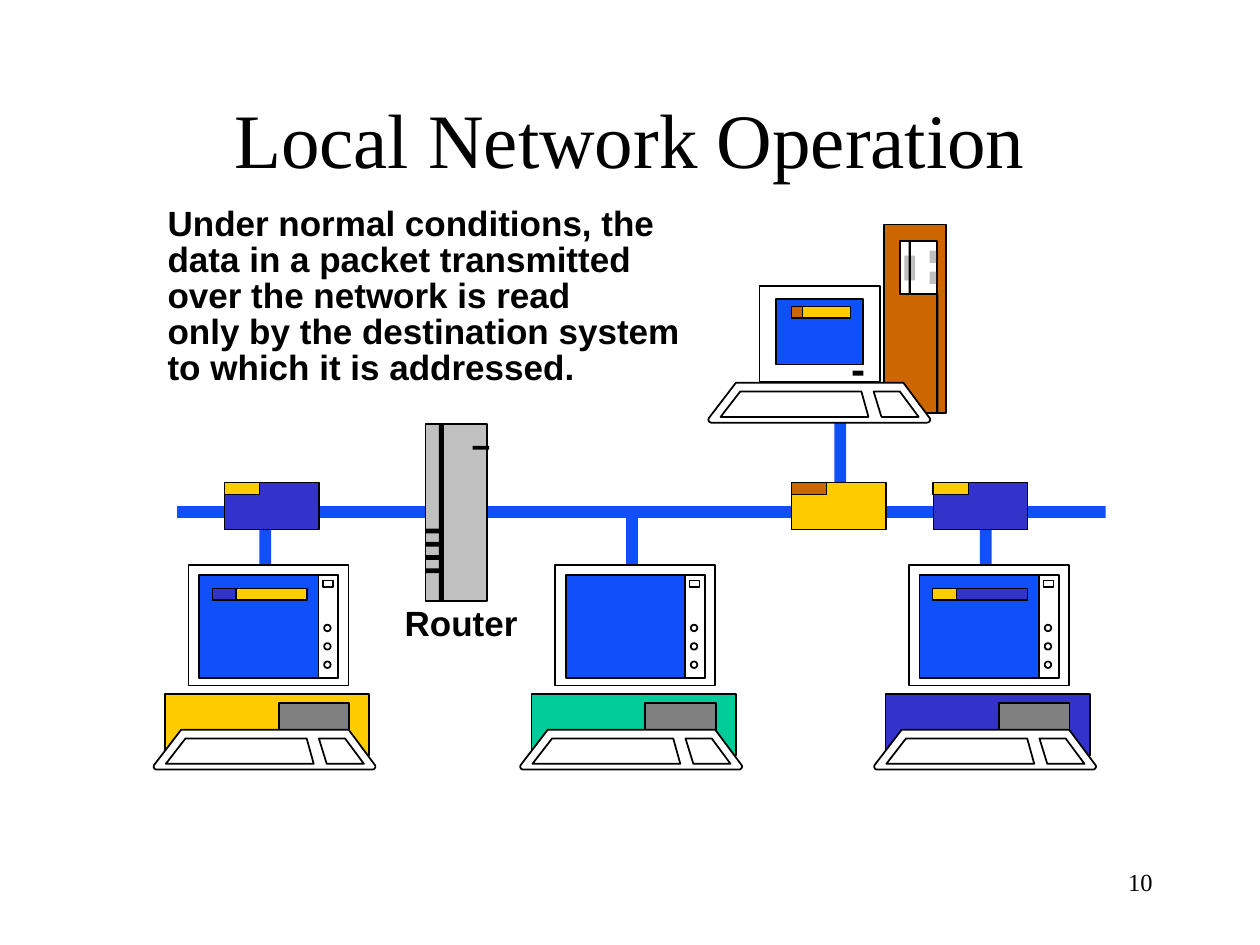
"""Build the Local Network Operation slide with its computers, router and packets."""
from typing import NamedTuple, Optional

from pptx import Presentation
from pptx.dml.color import RGBColor
from pptx.enum.shapes import MSO_SHAPE
from pptx.enum.text import PP_ALIGN
from pptx.util import Pt

RECTANGLE, OVAL = MSO_SHAPE.RECTANGLE, MSO_SHAPE.OVAL
LEFT, CENTER, RIGHT = PP_ALIGN.LEFT, PP_ALIGN.CENTER, PP_ALIGN.RIGHT
BLACK = RGBColor(0x00, 0x00, 0x00)
WHITE = RGBColor(0xFF, 0xFF, 0xFF)
BLUE = RGBColor(0x11, 0x4F, 0xFB)
INDIGO = RGBColor(0x33, 0x33, 0xCC)
YELLOW = RGBColor(0xFF, 0xCC, 0x00)
GREEN = RGBColor(0x00, 0xCC, 0x99)
ORANGE = RGBColor(0xCC, 0x66, 0x00)
SILVER = RGBColor(0xC0, 0xC0, 0xC0)
GRAY = RGBColor(0x80, 0x80, 0x80)
CABLE = 6.75
BUS_TOP = 289.25
PACKET_TOP = 275.75


class Part(NamedTuple):
    """A filled shape; an outline of zero means no line."""
    left: float
    top: float
    width: float
    height: float
    fill: RGBColor
    outline: float = 1
    kind: MSO_SHAPE = RECTANGLE


class Workstation(NamedTuple):
    """A desktop computer placed by the left end of its keyboard."""
    left: float
    case: RGBColor


class Packet(NamedTuple):
    """A data packet with its address tag."""
    left: float
    body: RGBColor
    tag: RGBColor


class Label(NamedTuple):
    """A text box with uniform formatting."""
    left: float
    top: float
    width: float
    height: float
    paragraphs: tuple[str, ...]
    font: str
    size: float
    bold: bool = False
    align: PP_ALIGN = LEFT
    spacing: Optional[float] = None
    wrap: bool = True


WORKSTATIONS = (
    Workstation(87.75, YELLOW),
    Workstation(297.25, GREEN),
    Workstation(499.5, INDIGO),
)
COMPUTER_PARTS = (
    Part(6.5, 396.75, 116.75, 35, WHITE),
    Part(71.5, 401.75, 40.25, 16.75, GRAY),
    Part(20, 322.75, 91.5, 69, WHITE),
    Part(26, 328.5, 79.25, 58.75, BLUE),
    Part(94.25, 328.5, 11.25, 58.75, WHITE),
    Part(96.75, 331.75, 5.75, 3.75, WHITE),
    *(Part(97.5, 357 + 10.5 * row, 3.75, 3.75, WHITE, 1, OVAL) for row in range(3)),
)
KEYBOARD_OUTLINES = (
    ((15.75, 0), (111.5, 0), (126.75, 20.5), (126.75, 21.5), (126, 22.5),
     (125, 22.75), (1.5, 22.75), (0.5, 22.25), (0, 21.25), (0.25, 20.25)),
    ((18.25, 5), (87.5, 5), (91.5, 19.5), (7, 19.5)),
    ((94.5, 5), (109.5, 5), (120.25, 19.5), (99, 19.5)),
)
SERVER_TOWER = (
    Part(505.25, 128.25, 35.5, 108, ORANGE),
    Part(514.25, 137.75, 21, 30.5, WHITE),
    Part(535, 168, 1.25, 68, BLACK, 0),
    Part(516.75, 146, 6.25, 14.25, SILVER, 0),
    Part(519.25, 137.75, 1.25, 30.5, BLACK, 0),
    Part(531.25, 143.25, 3.75, 7, SILVER, 0),
    Part(531.25, 155.25, 3.75, 7, SILVER, 0),
)
SERVER_MONITOR = (
    Part(434, 163.5, 69, 54.5, WHITE),
    Part(443.5, 170.75, 49.75, 37.5, BLUE),
    Part(487.25, 211.75, 6.25, 3, BLACK, 0),
)
ROUTER = (
    Part(243.25, 242.25, 35.25, 101.25, SILVER),
    Part(250.75, 242.5, 3, 101, BLACK, 0),
    *(Part(243.5, 302 + 7.6 * row, 8, 2.75, BLACK, 0) for row in range(4)),
    Part(270, 254.75, 9.5, 2.25, BLACK, 0),
)
PACKETS = (
    Packet(128.25, INDIGO, YELLOW),
    Packet(452.25, YELLOW, ORANGE),
    Packet(533.25, INDIGO, YELLOW),
)
MESSAGES = (
    Part(458.75, 175, 27.25, CABLE, YELLOW, 0.75),
    Part(452.25, 175, 6.5, CABLE, ORANGE, 0.75),
    Part(121.5, 336.25, 13.5, CABLE, INDIGO, 0.75),
    Part(135, 336.25, 40.5, CABLE, YELLOW, 0.75),
    Part(546.5, 336.25, 40.5, CABLE, INDIGO, 0.75),
    Part(533, 336.25, 13.5, CABLE, YELLOW, 0.75),
)
LABELS = (
    Label(87.75, 114.5, 325.5, 111.5,
          ("Under normal conditions, the data in a packet transmitted over the network is read",
           "only by the destination system to which it is addressed."),
          "Arial", 20, True, spacing=0.86),
    Label(223.25, 343.5, 86, 28.75, ("Router",), "Arial", 20, True, spacing=0.86, wrap=False),
    Label(54, 48.25, 612, 90, ("Local Network Operation",), "Times New Roman", 44, align=CENTER),
    Label(516.5, 491.5, 150.25, 36, ("10",), "Times New Roman", 14, align=RIGHT),
)


def style_shape(shape, fill: RGBColor, outline: float) -> None:
    """Give a shape a flat fill and an optional black outline."""
    shape.shadow.inherit = False
    shape.fill.solid()
    shape.fill.fore_color.rgb = fill
    if outline:
        shape.line.color.rgb = BLACK
        shape.line.width = Pt(outline)
    else:
        shape.line.fill.background()


def draw_part(page, part: Part) -> None:
    """Draw one filled shape."""
    shape = page.shapes.add_shape(
        part.kind, Pt(part.left), Pt(part.top), Pt(part.width), Pt(part.height))
    style_shape(shape, part.fill, part.outline)


def draw_parts(page, parts: tuple[Part, ...]) -> None:
    """Draw shapes from back to front."""
    for part in parts:
        draw_part(page, part)


def draw_keyboard(page, left: float, top: float) -> None:
    """Draw a keyboard with its two key areas."""
    for outline in KEYBOARD_OUTLINES:
        points = [(Pt(left + x), Pt(top + y)) for x, y in outline]
        builder = page.shapes.build_freeform(*points[0])
        builder.add_line_segments(points[1:], close=True)
        style_shape(builder.convert_to_shape(), WHITE, 1)


def draw_workstation(page, station: Workstation) -> None:
    """Draw a desktop computer with its cable to the bus."""
    draw_part(page, Part(station.left + 60.5, BUS_TOP, CABLE, 57.5, BLUE, 0))
    case, *others = COMPUTER_PARTS
    for part in (case._replace(fill=station.case), *others):
        draw_part(page, part._replace(left=station.left + part.left))
    draw_keyboard(page, station.left, 417)


def draw_packet(page, packet: Packet) -> None:
    """Draw a packet lying on the bus."""
    draw_part(page, Part(packet.left, PACKET_TOP, 54, 27, packet.body, 0.75))
    draw_part(page, Part(packet.left, PACKET_TOP, 20.25, CABLE, packet.tag, 0.75))


def write_label(page, label: Label) -> None:
    """Write a text box."""
    box = page.shapes.add_textbox(
        Pt(label.left), Pt(label.top), Pt(label.width), Pt(label.height))
    frame = box.text_frame
    frame.word_wrap = label.wrap
    frame.margin_left = frame.margin_right = Pt(8)
    frame.margin_top = frame.margin_bottom = Pt(4)
    frame.text = "\n".join(label.paragraphs)
    for para in frame.paragraphs:
        para.alignment = label.align
        para.line_spacing = label.spacing
        para.font.name = label.font
        para.font.size = Pt(label.size)
        para.font.bold = label.bold
        para.font.color.rgb = BLACK


def main() -> None:
    """Build and save the deck."""
    deck = Presentation()
    deck.slide_width, deck.slide_height = Pt(720), Pt(540)
    page = deck.slides.add_slide(deck.slide_layouts[6])
    draw_part(page, Part(101.25, BUS_TOP, 530.5, CABLE, BLUE, 0))
    draw_part(page, Part(476.75, 235.5, CABLE, 57.5, BLUE, 0))
    for station in WORKSTATIONS:
        draw_workstation(page, station)
    draw_parts(page, SERVER_TOWER)
    draw_keyboard(page, 404.75, 218.75)
    draw_parts(page, SERVER_MONITOR)
    draw_parts(page, ROUTER)
    for packet in PACKETS:
        draw_packet(page, packet)
    draw_parts(page, MESSAGES)
    for label in LABELS:
        write_label(page, label)
    deck.save("out.pptx")


if __name__ == "__main__":
    main()
